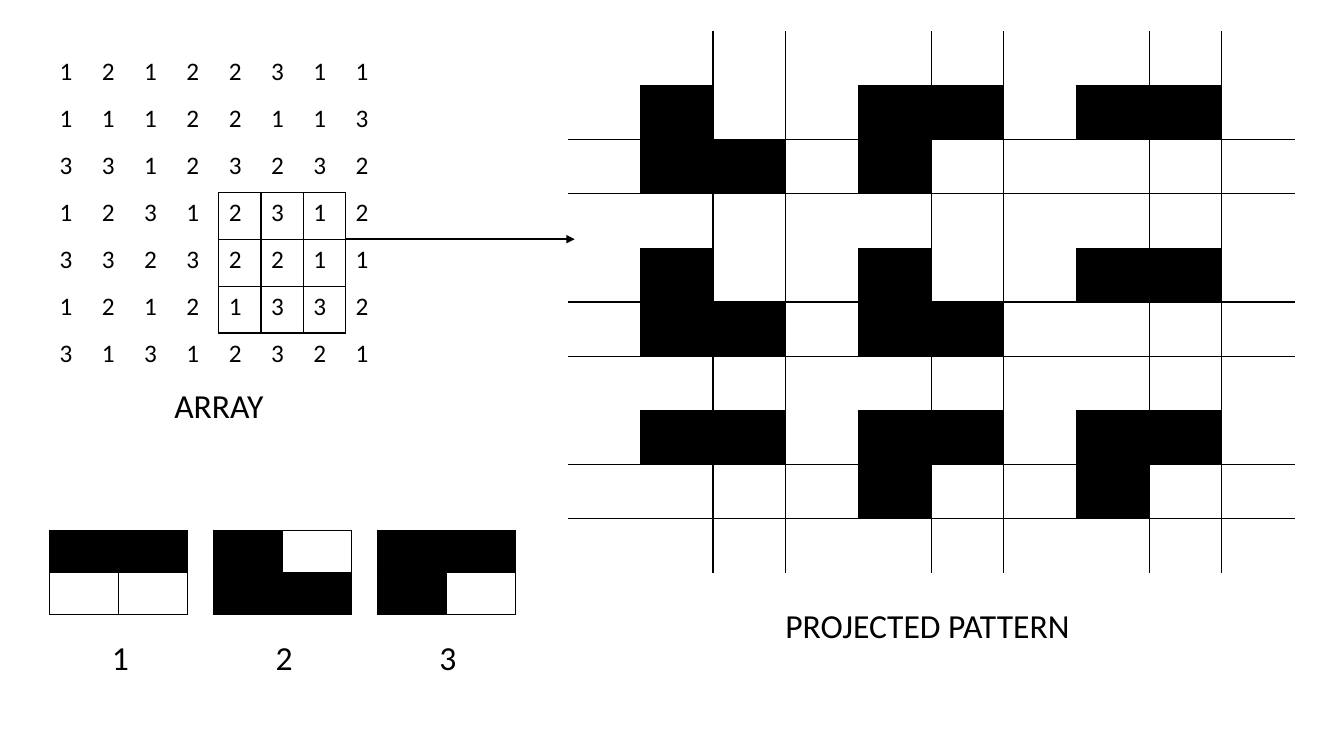
"""Draw a number array, its three symbols and the pattern projected from a window of it."""
from dataclasses import dataclass

from lxml import etree
from pptx import Presentation
from pptx import util as u
from pptx.dml.color import RGBColor
from pptx.enum import shapes, text
from pptx.oxml import ns

WIDTH, HEIGHT = 13.33, 7.5
BLACK, FONT = "000000", "Calibri"
PLAIN_STYLE = "{2D5ABB26-0587-4C30-8999-92F81FD0307C}"
TABLE_FORMAT = {"first_row": False, "horz_banding": False}
LABEL_FORMAT = {"word_wrap": False, "auto_size": text.MSO_AUTO_SIZE.SHAPE_TO_FIT_TEXT}

ARRAY = ["12122311", "11122113", "33123232", "12312312", "33232211", "12121332", "31312321"]
SYMBOLS = {"1": ["##", ".."], "2": ["#.", "##"], "3": ["##", "#."]}
WINDOW_ROWS, WINDOW_COLUMNS = range(3, 6), range(4, 7)


@dataclass(frozen=True)
class Ruling:
    """Grid lines by index, with the columns and rows that they cross."""
    columns: set[int]
    rows: set[int]
    across: range
    down: range

    def sides(self, row: int, column: int) -> list[str]:
        """Name the ruled sides of one cell."""
        upright, level = row in self.down, column in self.across
        ruled = {
            "lnL": upright and column in self.columns,
            "lnR": upright and column + 1 in self.columns,
            "lnT": level and row in self.rows,
            "lnB": level and row + 1 in self.rows,
        }
        return [side for side, drawn in ruled.items() if drawn]


@dataclass(frozen=True)
class Grid:
    """A table whose place and cell size are percentages of the slide."""
    left: float
    top: float
    column: float
    row: float
    cells: list[str]
    ruling: Ruling


@dataclass(frozen=True)
class Label:
    """A caption whose place and width are percentages of the slide."""
    caption: str
    left: float
    top: float
    width: float


def across(percent: float) -> int:
    """Turn a share of the slide's width into a length."""
    return u.Inches(WIDTH * percent / 100)


def down(percent: float) -> int:
    """Turn a share of the slide's height into a length."""
    return u.Inches(HEIGHT * percent / 100)


def color(value: str) -> RGBColor:
    """Read a hex colour."""
    return RGBColor.from_string(value)


def apply(target, values: dict) -> None:
    """Set every format value on the target."""
    for name, value in values.items():
        setattr(target, name, value)


def write(frame, words: str, size: int) -> None:
    """Put one run of text into a frame."""
    run = frame.paragraphs[0].add_run()
    run.text = words
    apply(run.font, {"size": u.Pt(size), "name": FONT})
    run.font.color.rgb = color(BLACK)


def rule(cell, side: str) -> None:
    """Draw one side of a cell."""
    edge = etree.SubElement(cell._tc.get_or_add_tcPr(), ns.qn(f"a:{side}"), w=str(u.Pt(1)))
    fill = etree.SubElement(edge, ns.qn("a:solidFill"))
    etree.SubElement(fill, ns.qn("a:srgbClr"), val=BLACK)


def draw_grid(slide, grid: Grid) -> None:
    """Draw a table of digits or of black and clear cells."""
    rows, columns = len(grid.cells), len(grid.cells[0])
    table = slide.shapes.add_table(
        rows, columns, across(grid.left), down(grid.top),
        across(grid.column * columns), down(grid.row * rows)).table
    apply(table, TABLE_FORMAT)
    table._tbl.tblPr.find(ns.qn("a:tableStyleId")).text = PLAIN_STYLE
    for r, line in enumerate(grid.cells):
        for c, mark in enumerate(line):
            cell = table.cell(r, c)
            for side in grid.ruling.sides(r, c):
                rule(cell, side)
            if mark == "#":
                cell.fill.solid()
                cell.fill.fore_color.rgb = color(BLACK)
            else:
                cell.fill.background()
            if mark.isdigit():
                write(cell.text_frame, mark, 18)


def draw_label(slide, label: Label) -> None:
    """Draw a caption."""
    frame = slide.shapes.add_textbox(
        across(label.left), down(label.top), across(label.width), down(6.67)).text_frame
    apply(frame, LABEL_FORMAT)
    write(frame, label.caption, 24)


def draw_arrow(slide, start: float, end: float, level: float) -> None:
    """Draw a level arrow."""
    arrow = slide.shapes.add_connector(
        shapes.MSO_CONNECTOR.STRAIGHT, across(start), down(level), across(end), down(level))
    arrow.line.width = u.Pt(1.5)
    arrow.line.color.rgb = color(BLACK)
    etree.SubElement(arrow.line._get_or_add_ln(), ns.qn("a:tailEnd"), type="triangle")
    etree.SubElement(arrow._element.spPr, ns.qn("a:effectLst"))


def project() -> list[str]:
    """Replace each digit in the window by its symbol, with clear cells between."""
    cells = [["."] * 10 for _ in range(10)]
    for i, r in enumerate(WINDOW_ROWS):
        for j, c in enumerate(WINDOW_COLUMNS):
            for k, marks in enumerate(SYMBOLS[ARRAY[r][c]]):
                cells[3 * i + 1 + k][3 * j + 1:3 * j + 3] = marks
    return ["".join(line) for line in cells]


def main() -> None:
    """Build and save the slide."""
    deck = Presentation()
    apply(deck, {"slide_width": u.Inches(WIDTH), "slide_height": u.Inches(HEIGHT)})
    slide = deck.slides.add_slide(deck.slide_layouts[6])

    window = Ruling({4, 5, 7}, {3, 4, 6}, WINDOW_COLUMNS, WINDOW_ROWS)
    array = Grid(3.68, 6.8, 3.15, 6.21, ARRAY, window)
    draw_grid(slide, array)

    framed = Ruling({0, 1, 2}, {0, 1, 2}, range(2), range(2))
    for i, (digit, marks) in enumerate(SYMBOLS.items()):
        left = array.left + 12.19 * i
        draw_grid(slide, Grid(left, 70.13, 5.15, 5.58, marks, framed))
        draw_label(slide, Label(digit, left + 3.9, 83.6, 2.55))

    crossings = Ruling({2, 5, 8}, {2, 5, 8}, range(10), range(10))
    draw_grid(slide, Grid(42.24, 4.13, 5.41, 7.17, project(), crossings))

    window_right = array.left + array.column * WINDOW_COLUMNS.stop
    draw_arrow(slide, window_right, 42.76, array.top + array.row * 4)
    for label in (Label("PROJECTED PATTERN", 57.69, 79.33, 23.18),
                  Label("ARRAY", 12.23, 50.27, 8.18)):
        draw_label(slide, label)
    deck.save("out.pptx")


if __name__ == "__main__":
    main()
